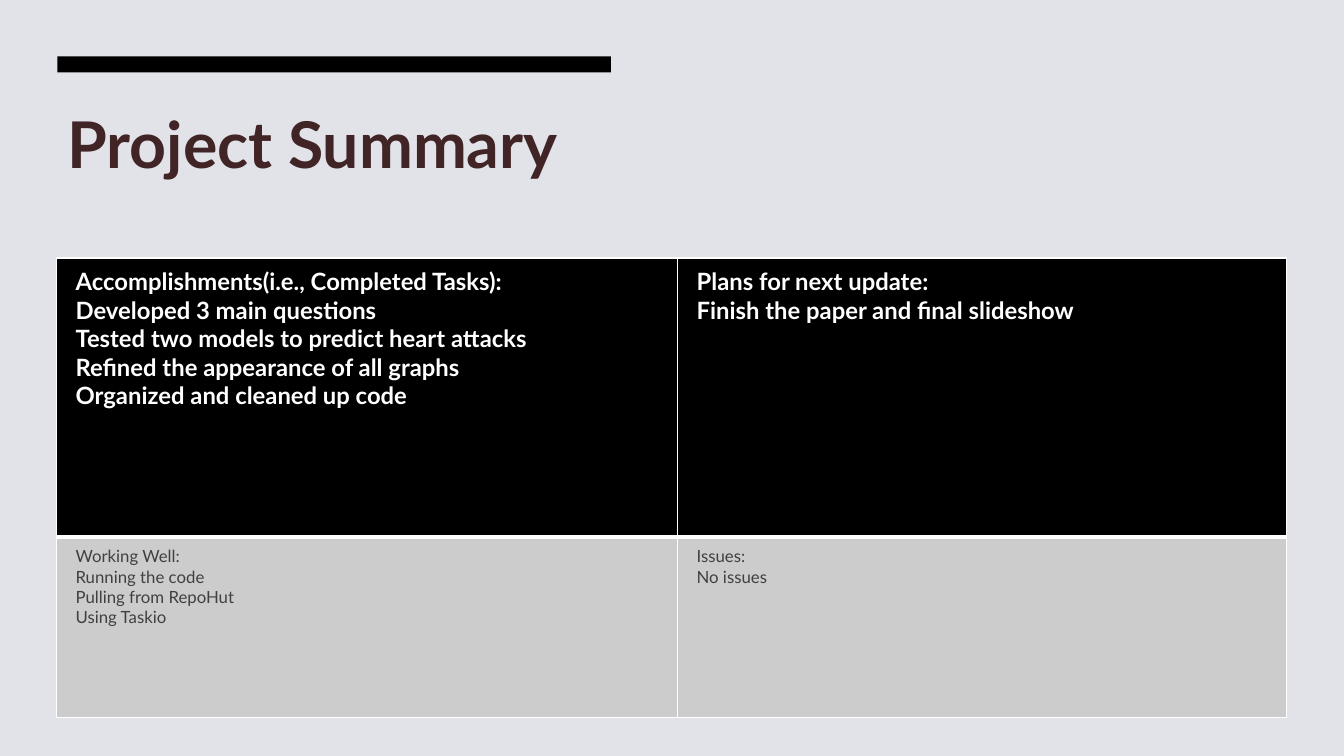
from dataclasses import dataclass

from lxml.etree import SubElement
from pptx import Presentation
from pptx.dml.color import RGBColor
from pptx.enum.shapes import MSO_SHAPE
from pptx.enum.text import MSO_ANCHOR
from pptx.oxml.ns import qn
from pptx.util import Inches, Pt


@dataclass(frozen=True)
class Theme:
    font: str = "Lato"
    background: str = "E2E3E8"
    title: str = "412426"
    black: str = "000000"
    white: str = "FFFFFF"
    grey: str = "CCCCCC"
    body: str = "404040"
    title_size: int = 46
    header_size: int = 17
    body_size: int = 12


THEME = Theme()

SUMMARY = [
    [
        [
            "Accomplishments(i.e., Completed Tasks):",
            "Developed 3 main questions",
            "Tested two models to predict heart attacks",
            "Refined the appearance of all graphs",
            "Organized and cleaned up code",
        ],
        ["Plans for next update:", "Finish the paper and final slideshow"],
    ],
    [
        ["Working Well:", "Running the code", "Pulling from RepoHut", "Using Taskio"],
        ["Issues:", "No issues"],
    ],
]


def paint(fill, color):
    fill.solid()
    fill.fore_color.rgb = RGBColor.from_string(color)


def write(frame, lines, *, size, color, bold=False, spacing=None):
    for index, line in enumerate(lines):
        paragraph = frame.add_paragraph() if index else frame.paragraphs[0]
        paragraph.line_spacing = spacing
        run = paragraph.add_run()
        run.text = line
        run.font.name = THEME.font
        run.font.size = Pt(size)
        run.font.bold = bold
        run.font.color.rgb = RGBColor.from_string(color)


def add_accent_bar(slide):
    bar = slide.shapes.add_shape(
        MSO_SHAPE.RECTANGLE, Inches(0.57), Inches(0.56), Inches(5.49), Inches(0.16)
    )
    bar.shadow.inherit = False
    paint(bar.fill, THEME.black)
    bar.line.fill.background()


def add_title(slide, text):
    frame = slide.shapes.add_textbox(
        Inches(0.57), Inches(1.07), Inches(5.49), Inches(1.3)
    ).text_frame
    frame.word_wrap = True
    frame.vertical_anchor = MSO_ANCHOR.TOP
    write(frame, [text], size=THEME.title_size, color=THEME.title, bold=True, spacing=0.9)


def add_borders(cell, widths):
    properties = cell._tc.get_or_add_tcPr()
    for position, (side, width) in enumerate(widths.items()):
        border = SubElement(properties, qn(f"a:ln{side}"), w=str(Pt(width)))
        fill = SubElement(border, qn("a:solidFill"))
        SubElement(fill, qn("a:srgbClr"), val=THEME.white)
        properties.insert(position, border)


def fill_cell(cell, lines, is_header):
    cell.margin_left = Inches(0.19)
    cell.margin_right = Inches(0.14)
    cell.margin_top = cell.margin_bottom = Inches(0.09)
    paint(cell.fill, THEME.black if is_header else THEME.grey)
    write(
        cell.text_frame,
        lines,
        size=THEME.header_size if is_header else THEME.body_size,
        color=THEME.white if is_header else THEME.body,
        bold=is_header,
    )
    add_borders(
        cell,
        {"L": 1, "R": 1, "T": 1 if is_header else 3, "B": 3 if is_header else 1},
    )


def add_summary_table(slide, rows, column_widths, row_heights):
    table = slide.shapes.add_table(
        len(rows), len(column_widths),
        Inches(0.56), Inches(2.56),
        Inches(sum(column_widths)), Inches(sum(row_heights)),
    ).table
    table.horz_banding = False
    for column, width in zip(table.columns, column_widths):
        column.width = Inches(width)
    for row_index, (row, height) in enumerate(zip(rows, row_heights)):
        table.rows[row_index].height = Inches(height)
        for column_index, lines in enumerate(row):
            fill_cell(table.cell(row_index, column_index), lines, row_index == 0)


def main():
    deck = Presentation()
    deck.slide_width = Inches(13.33)
    deck.slide_height = Inches(7.5)
    slide = deck.slides.add_slide(deck.slide_layouts[6])
    paint(slide.background.fill, THEME.background)
    add_accent_bar(slide)
    add_title(slide, "Project Summary")
    add_summary_table(slide, SUMMARY, [6.16, 6.04], [2.77, 1.79])
    deck.save("out.pptx")


if __name__ == "__main__":
    main()
